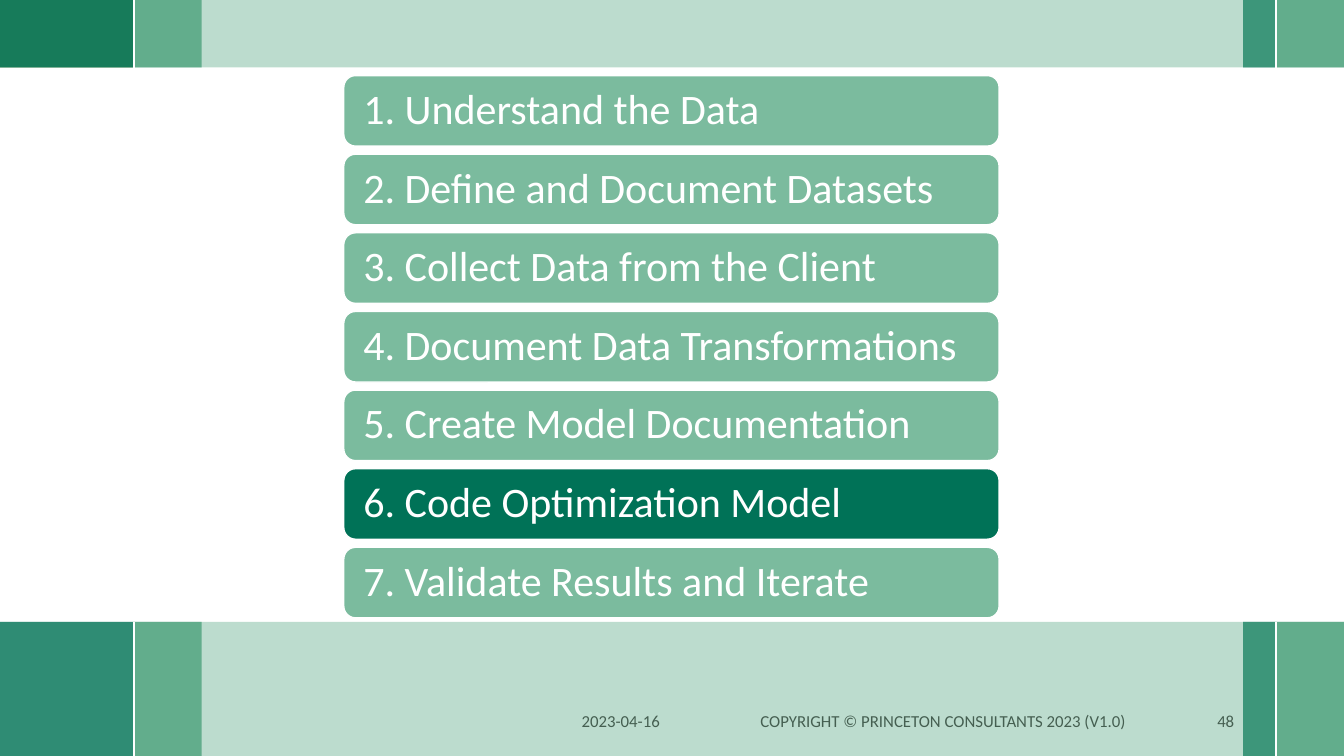
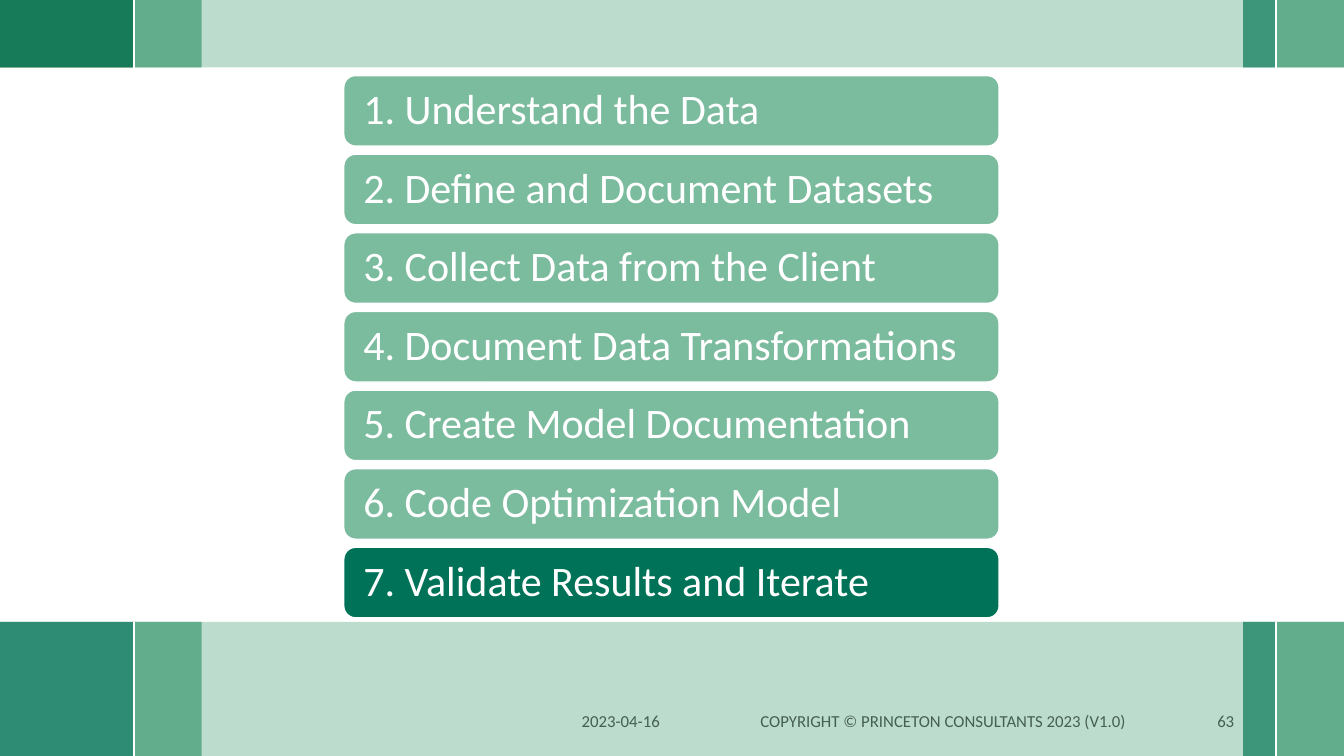
from lxml.etree import SubElement
from pptx import Presentation
from pptx.dml.color import RGBColor
from pptx.enum.shapes import MSO_CONNECTOR as Connector, MSO_SHAPE as Shape
from pptx.enum.text import MSO_ANCHOR as Anchor, PP_ALIGN as Align
from pptx.oxml.ns import qn
from pptx.util import Inches, Pt

STEPS = [
    "Understand the Data",
    "Define and Document Datasets",
    "Collect Data from the Client",
    "Document Data Transformations",
    "Create Model Documentation",
    "Code Optimization Model",
    "Validate Results and Iterate",
]
AGENDAS = [
    {"page": "48", "current": 6},
    {"page": "63", "current": 7},
]
DATE = "2023-04-16"
COPYRIGHT = "COPYRIGHT © PRINCETON CONSULTANTS 2023 (V1.0)"

COLORS = {
    "dark": "007257",
    "medium": "4A9F7B",
    "light": "7BBB9E",
    "leaf": "3F762B",
    "footer": "455F51",
    "white": "FFFFFF",
}
FONT = "Calibri"
SLIDE_W, SLIDE_H = 13.33, 7.5

BANDS = [
    {"top": 6.17, "height": 1.33, "corner": None},
    {"top": 0, "height": 0.67, "corner": "leaf"},
]
LEFT_EDGE, RIGHT_EDGE = 1.33, 12.66
BLOCK_W, STRIP_W = 0.67, 0.33

FOOTER_TOP, FOOTER_H = 6.95, 0.4
STEP_LEFT, STEP_TOP, STEP_W, STEP_H = 3.41, 0.75, 6.5, 0.7
STEP_PITCH = 0.78
STEP_INSET = 0.16


def rgb(name):
    return RGBColor.from_string(COLORS[name])


def add_block(slide, left, top, width, height, color, opacity=100, kind=Shape.RECTANGLE):
    block = slide.shapes.add_shape(
        kind, Inches(left), Inches(top), Inches(width), Inches(height))
    block.shadow.inherit = False
    block.fill.solid()
    block.fill.fore_color.rgb = rgb(color)
    block.line.fill.background()
    if opacity < 100:
        tint = block.element.spPr.find(qn("a:solidFill")).find(qn("a:srgbClr"))
        SubElement(tint, qn("a:alpha")).set("val", str(opacity * 1000))
    return block


def add_divider(slide, x, top, height):
    divider = slide.shapes.add_connector(
        Connector.STRAIGHT, Inches(x), Inches(top), Inches(x), Inches(top + height))
    divider.line.color.rgb = rgb("white")
    divider.line.width = Pt(1.5)
    SubElement(divider.element.spPr, qn("a:effectLst"))


def write(shape, text, size, color, align):
    frame = shape.text_frame
    frame.word_wrap = True
    frame.vertical_anchor = Anchor.MIDDLE
    paragraph = frame.paragraphs[0]
    paragraph.text = text
    paragraph.alignment = align
    paragraph.font.name = FONT
    paragraph.font.size = Pt(size)
    paragraph.font.color.rgb = rgb(color)
    return frame


def add_band(slide, top, height, corner):
    add_block(slide, RIGHT_EDGE, top, BLOCK_W, height, "medium")
    add_block(slide, RIGHT_EDGE - STRIP_W, top, STRIP_W, height, "dark")
    add_block(slide, LEFT_EDGE, top, BLOCK_W, height, "medium")
    if corner:
        add_block(slide, 0, top, LEFT_EDGE, height, corner)
    add_block(slide, 0, top, SLIDE_W, height, "light", opacity=50)
    add_divider(slide, RIGHT_EDGE, top, height)
    add_block(slide, 0, top, LEFT_EDGE, height, "dark", opacity=75)
    add_divider(slide, LEFT_EDGE, top, height)


def add_footer(slide, page):
    for text, left, width, align in (
        (DATE, 5.67, 1.33, Align.LEFT),
        (COPYRIGHT, 7.16, 4.39, Align.CENTER),
        (page, 11.67, 0.67, Align.RIGHT),
    ):
        entry = slide.shapes.add_textbox(
            Inches(left), Inches(FOOTER_TOP), Inches(width), Inches(FOOTER_H))
        write(entry, text, 12, "footer", align)


def add_steps(slide, current):
    for number, title in enumerate(STEPS, start=1):
        top = STEP_TOP + (number - 1) * STEP_PITCH
        color = "dark" if number == current else "light"
        step = add_block(slide, STEP_LEFT, top, STEP_W, STEP_H, color,
                         kind=Shape.ROUNDED_RECTANGLE)
        step.line.color.rgb = rgb("white")
        step.line.width = Pt(1)
        frame = write(step, f"{number}. {title}", 30, "white", Align.LEFT)
        frame.margin_left = frame.margin_right = Inches(STEP_INSET)
        frame.margin_top = frame.margin_bottom = Inches(STEP_INSET)
        frame.paragraphs[0].line_spacing = 0.9


def main():
    deck = Presentation()
    deck.slide_width, deck.slide_height = Inches(SLIDE_W), Inches(SLIDE_H)
    for agenda in AGENDAS:
        slide = deck.slides.add_slide(deck.slide_layouts[6])
        for band in BANDS:
            add_band(slide, **band)
        add_footer(slide, agenda["page"])
        add_steps(slide, agenda["current"])
    deck.save("out.pptx")


if __name__ == "__main__":
    main()
